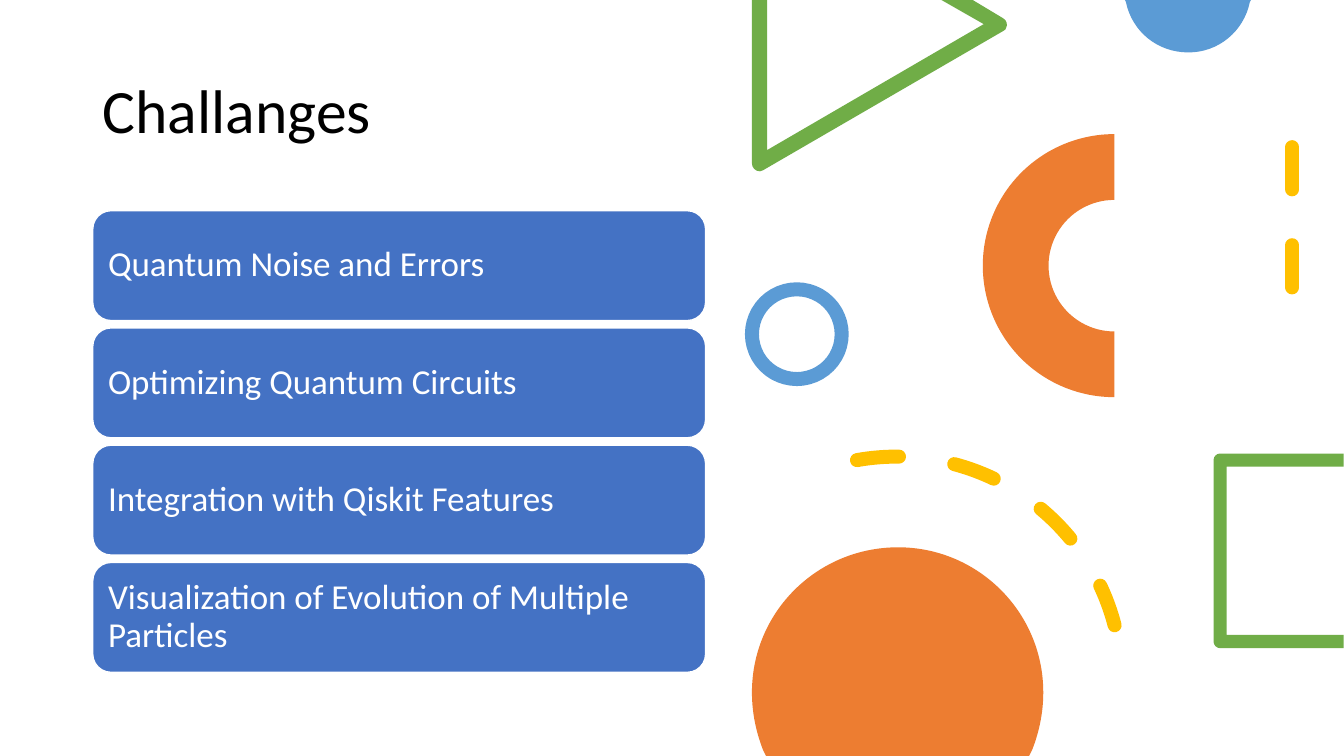
from lxml import etree
from pptx import Presentation
from pptx.dml.color import RGBColor
from pptx.enum.dml import MSO_LINE
from pptx.enum.shapes import MSO_CONNECTOR, MSO_SHAPE
from pptx.enum.text import MSO_ANCHOR, PP_ALIGN
from pptx.oxml.ns import qn
from pptx.util import Inches, Pt

ROUND, RING, BLOCK, ARC = (MSO_SHAPE.ROUNDED_RECTANGLE, MSO_SHAPE.OVAL,
                           MSO_SHAPE.BLOCK_ARC, MSO_SHAPE.ARC)
STRAIGHT = MSO_CONNECTOR.STRAIGHT
DASH = MSO_LINE.DASH
MIDDLE = MSO_ANCHOR.MIDDLE
LEFT = PP_ALIGN.LEFT

BLUE, SKY, ORANGE, GREEN, GOLD = "4472C4", "5B9BD5", "ED7D31", "70AD47", "FFC000"
WHITE, BLACK = "FFFFFF", "000000"
TOPICS = [
    "Quantum Noise and Errors",
    "Optimizing Quantum Circuits",
    "Integration with Qiskit Features",
    "Visualization of Evolution of Multiple Particles",
]
TOP, STEP = 2.09, (5.58 - 2.09) / 3

# Outlines: a pair is a straight step, six numbers are a Bezier curve.
CAP = [
    (11.16, 0), (12.41, 0), (12.4, 0.02),
    (12.34, 0.31, 12.09, 0.52, 11.79, 0.52),
    (11.48, 0.52, 11.23, 0.31, 11.17, 0.02),
]
TRIANGLE = [
    (7.46, 0), (7.61, 0), (7.61, 1.49), (9.76, 0.24), (9.34, 0), (9.65, 0),
    (9.95, 0.18),
    (9.99, 0.2, 10, 0.25, 9.98, 0.28),
    (9.98, 0.29, 9.97, 0.3, 9.95, 0.31),
    (7.57, 1.69),
    (7.56, 1.69, 7.55, 1.7, 7.54, 1.7),
    (7.49, 1.7, 7.46, 1.66, 7.46, 1.62),
]
SQUARE = [
    (12.1, 4.5), (13.33, 4.5), (13.33, 4.63), (12.17, 4.63), (12.17, 6.3),
    (13.33, 6.3), (13.33, 6.43), (12.1, 6.43),
    (12.07, 6.43, 12.04, 6.4, 12.04, 6.37),
    (12.04, 4.56),
    (12.04, 4.53, 12.07, 4.5, 12.1, 4.5),
]
SUN = [
    (8.91, 5.43),
    (9.7, 5.43, 10.35, 6.07, 10.35, 6.87),
    (10.35, 7.07, 10.31, 7.26, 10.24, 7.44),
    (10.21, 7.5), (7.6, 7.5), (7.57, 7.44),
    (7.5, 7.26, 7.46, 7.07, 7.46, 6.87),
    (7.46, 6.07, 8.11, 5.43, 8.91, 5.43),
]


def color(text):
    return RGBColor.from_string(text)


def paint(shape, fill=None, line=None, width=1):
    """Set fill and outline, where None means none."""
    shape.shadow.inherit = False
    for part, tone in ((shape.fill, fill), (shape.line.fill, line)):
        if tone:
            part.solid()
            part.fore_color.rgb = color(tone)
        else:
            part.background()
    if line:
        shape.line.width = Pt(width)


def add_form(slide, kind, box, turn=0, **look):
    shape = slide.shapes.add_shape(kind, *map(Inches, box))
    shape.rotation = turn
    paint(shape, **look)
    return shape


def write(shape, text, size, tone):
    frame = shape.text_frame
    frame.text = text
    frame.word_wrap = True
    frame.vertical_anchor = MIDDLE
    para = frame.paragraphs[0]
    para.alignment = LEFT
    para.line_spacing = 0.9
    font = para.runs[0].font
    font.name, font.size = "Calibri", Pt(size)
    font.color.rgb = color(tone)


def add_topic(slide, row, text):
    box = add_form(slide, ROUND, (0.92, TOP + row * STEP, 6.08, 1.09),
                   fill=BLUE, line=WHITE)
    write(box, text, 25, WHITE)


def add_outline(slide, steps, fill):
    """Draw all points as lines, then join each curve's three into one."""
    spots = [(Inches(x), Inches(y))
             for step in steps for x, y in zip(step[::2], step[1::2])]
    pen = slide.shapes.build_freeform(*spots[0])
    pen.add_line_segments(spots[1:], close=True)
    shape = pen.convert_to_shape()
    lines = iter(list(shape.element.iter(qn("a:lnTo"))))
    for step in steps[1:]:
        first = next(lines)
        if len(step) == 6:
            first.addprevious(bend := etree.Element(qn("a:cubicBezTo")))
            for line in (first, next(lines), next(lines)):
                bend.append(line[0])
                line.getparent().remove(line)
    paint(shape, fill=fill)


def dash(shape):
    """Give a shape or line thick dashes with round ends."""
    shape.line.color.rgb = color(GOLD)
    shape.line.width = Pt(10)
    shape.line.dash_style = DASH
    shape.element.spPr.find(qn("a:ln")).set("cap", "rnd")


def add_decor(slide):
    add_outline(slide, CAP, SKY)
    add_form(slide, RING, (7.46, 2.87, 0.89, 0.89), line=SKY, width=10)
    add_form(slide, BLOCK, (9.75, 1.33, 2.61, 2.61), 270, fill=ORANGE)
    add_outline(slide, TRIANGLE, GREEN)
    line = slide.shapes.add_connector(
        STRAIGHT, *map(Inches, (12.82, 1.46, 12.82, 3.2)))
    dash(line)
    etree.SubElement(line.element.spPr, qn("a:effectLst"))
    add_outline(slide, SQUARE, GREEN)
    dash(add_form(slide, ARC, (6.66, 4.53, 4.47, 4.47), 349.9))
    add_outline(slide, SUN, ORANGE)


def main():
    deck = Presentation()
    deck.slide_width, deck.slide_height = Inches(40) // 3, Inches(7.5)
    slide = deck.slides.add_slide(deck.slide_layouts[5])
    title = slide.shapes.title
    title.left, title.top, title.width, title.height = map(
        Inches, (0.92, 0.4, 6.08, 1.45))
    write(title, "Challanges", 44, BLACK)
    for row, text in enumerate(TOPICS):
        add_topic(slide, row, text)
    add_decor(slide)
    deck.save("out.pptx")


if __name__ == "__main__":
    main()
